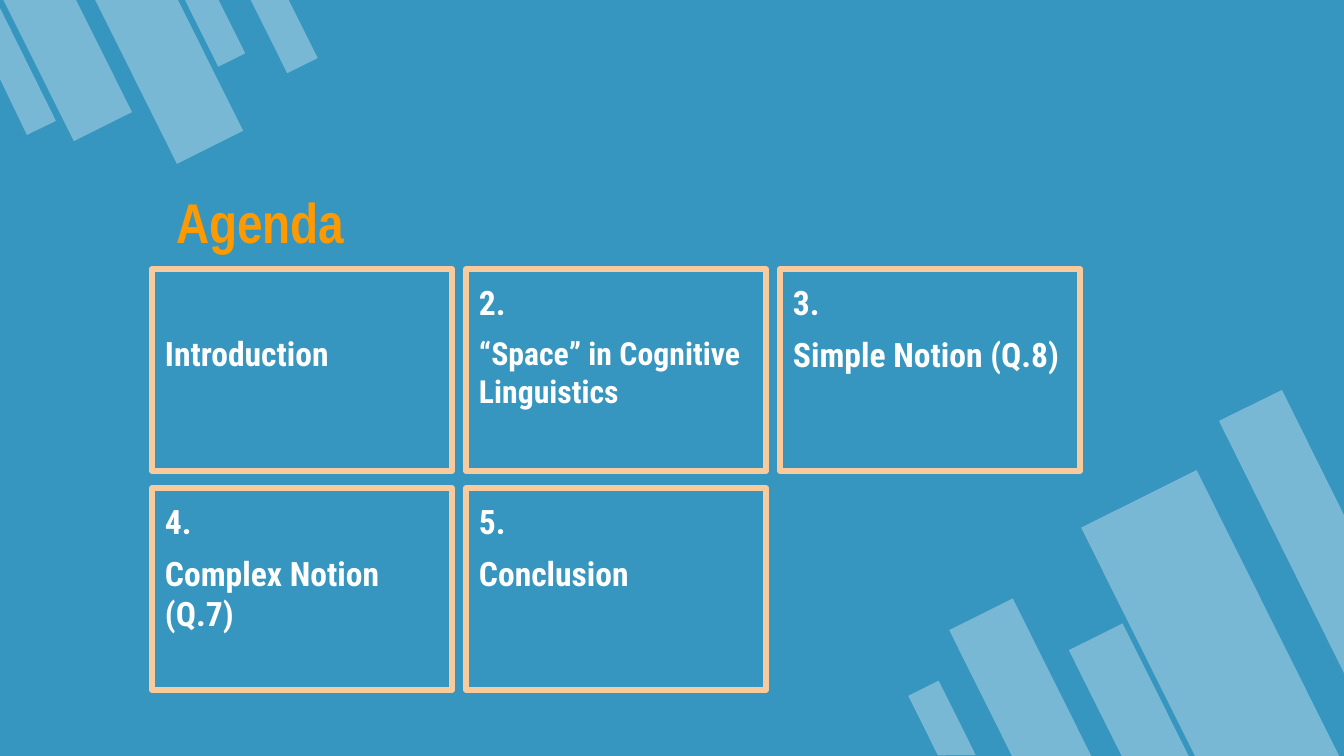
import pptx
import pptx.util
from dataclasses import dataclass
from lxml import etree
from pptx.dml.color import RGBColor
from pptx.enum.shapes import MSO_SHAPE
from pptx.enum.text import MSO_ANCHOR, PP_ALIGN
from pptx.oxml.ns import qn

TITLE = "Agenda"
# Number, topic and topic size of each card, in reading order
CARDS = [
    ("", "Introduction", 18),
    ("2.", "“Space” in Cognitive Linguistics", 17),
    ("3.", "Simple Notion (Q.8)", 18),
    ("4.", "Complex Notion (Q.7)", 18),
    ("5.", "Conclusion", 18),
]

# Slanted bars by rotation: left, top, width, height in px
BARS = {
    153.5: [(985, 605, 71, 177), (1146, 482, 129, 321),
            (1099, 629, 60, 149), (925, 684, 34, 83)],
    333.5: [(200, -11, 30, 75), (35, -24, 65, 159),
            (132, -27, 74, 184), (267, -13, 34, 83)],
}
# Bars cut off by the slide edge: corner points in px
CUT_BARS = [
    [(1282, 390), (1219, 421), (1344, 673), (1344, 515)],
    [(27, 135), (56, 121), (0, 8), (0, 79)],
]

SLIDE_SIZE = (1344, 756)
TITLE_BOX = (163, 169, 929, 99)
GRID_LEFT, GRID_TOP, COLUMNS = 152, 269, 3
CARD_WIDTH, CARD_HEIGHT = 300, 202
COLUMN_STEP, ROW_STEP = 314, 219
INSET = 13
NUMBER_LINE = 51  # height of a number line with the gap below it
SCALE = 914400 / 134.4


@dataclass(frozen=True)
class Theme:
    background: RGBColor = RGBColor.from_string("3796BF")
    white: RGBColor = RGBColor.from_string("FFFFFF")
    title: RGBColor = RGBColor.from_string("FF9900")
    border: RGBColor = RGBColor.from_string("F9CB9C")
    bar_alpha: int = 33
    title_font: str = "Arial Narrow"
    body_font: str = "Roboto Condensed"
    title_size: int = 30
    number_size: int = 18
    paragraph_gap: int = 6
    border_width: int = 3


THEME = Theme()


def px(length):
    return pptx.util.Emu(round(length * SCALE))


def style_bar(shape):
    shape.shadow.inherit = False
    shape.line.fill.background()
    shape.fill.solid()
    shape.fill.fore_color.rgb = THEME.white
    color = shape.element.spPr.find(qn("a:solidFill"))[0]
    etree.SubElement(color, qn("a:alpha"), val=str(THEME.bar_alpha * 1000))


def add_bars(slide):
    for rotation, boxes in BARS.items():
        for box in boxes:
            bar = slide.shapes.add_shape(
                MSO_SHAPE.FLOWCHART_MANUAL_INPUT, *map(px, box))
            bar.rotation = rotation
            bar.element.spPr.find(qn("a:xfrm")).set("flipH", "1")
            style_bar(bar)
    for points in CUT_BARS:
        builder = slide.shapes.build_freeform(*points[0], scale=SCALE)
        builder.add_line_segments(points[1:], close=True)
        style_bar(builder.convert_to_shape())


def set_frame(text_frame, anchor, top_inset=INSET):
    text_frame.word_wrap = True
    text_frame.vertical_anchor = anchor
    text_frame.margin_left = text_frame.margin_right = px(INSET)
    text_frame.margin_top = px(top_inset)
    text_frame.margin_bottom = px(INSET)


def style_paragraph(paragraph, font_name, size, color):
    paragraph.alignment = PP_ALIGN.LEFT
    for run in paragraph.runs:
        run.font.name = font_name
        run.font.size = pptx.util.Pt(size)
        run.font.bold = True
        run.font.color.rgb = color


def add_title(slide):
    text_frame = slide.shapes.add_textbox(*map(px, TITLE_BOX)).text_frame
    set_frame(text_frame, MSO_ANCHOR.BOTTOM)
    text_frame.text = TITLE
    style_paragraph(text_frame.paragraphs[0], THEME.title_font,
                    THEME.title_size, THEME.title)


def add_card(slide, index, number, topic, topic_size):
    row, column = divmod(index, COLUMNS)
    card = slide.shapes.add_shape(
        MSO_SHAPE.RECTANGLE,
        px(GRID_LEFT + column * COLUMN_STEP), px(GRID_TOP + row * ROW_STEP),
        px(CARD_WIDTH), px(CARD_HEIGHT))
    card.shadow.inherit = False
    card.fill.background()
    card.line.color.rgb = THEME.border
    card.line.width = pptx.util.Pt(THEME.border_width)
    etree.SubElement(card.element.spPr.find(qn("a:ln")), qn("a:round"))

    # A card without a number keeps its topic level with the others
    top_inset = INSET if number else INSET + NUMBER_LINE
    set_frame(card.text_frame, MSO_ANCHOR.TOP, top_inset)
    lines = [(number, THEME.number_size)] if number else []
    lines.append((topic, topic_size))
    card.text_frame.text = "\n".join(text for text, _ in lines)
    for position, paragraph in enumerate(card.text_frame.paragraphs):
        style_paragraph(paragraph, THEME.body_font, lines[position][1], THEME.white)
        if position:
            paragraph.space_before = pptx.util.Pt(THEME.paragraph_gap)


def main():
    presentation = pptx.Presentation()
    presentation.slide_width, presentation.slide_height = map(px, SLIDE_SIZE)
    slide = presentation.slides.add_slide(presentation.slide_layouts[6])
    slide.background.fill.solid()
    slide.background.fill.fore_color.rgb = THEME.background
    add_bars(slide)
    add_title(slide)
    for index, card in enumerate(CARDS):
        add_card(slide, index, *card)
    presentation.save("out.pptx")


if __name__ == "__main__":
    main()
